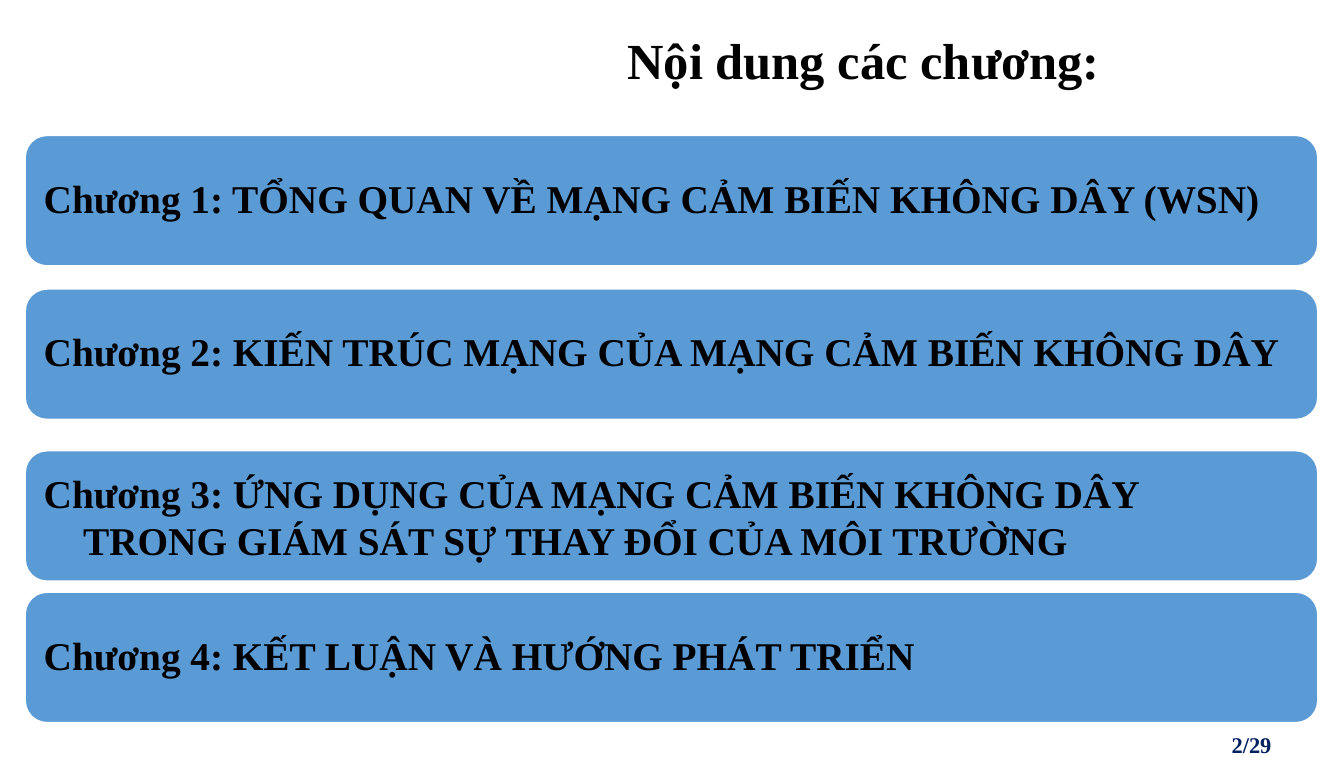
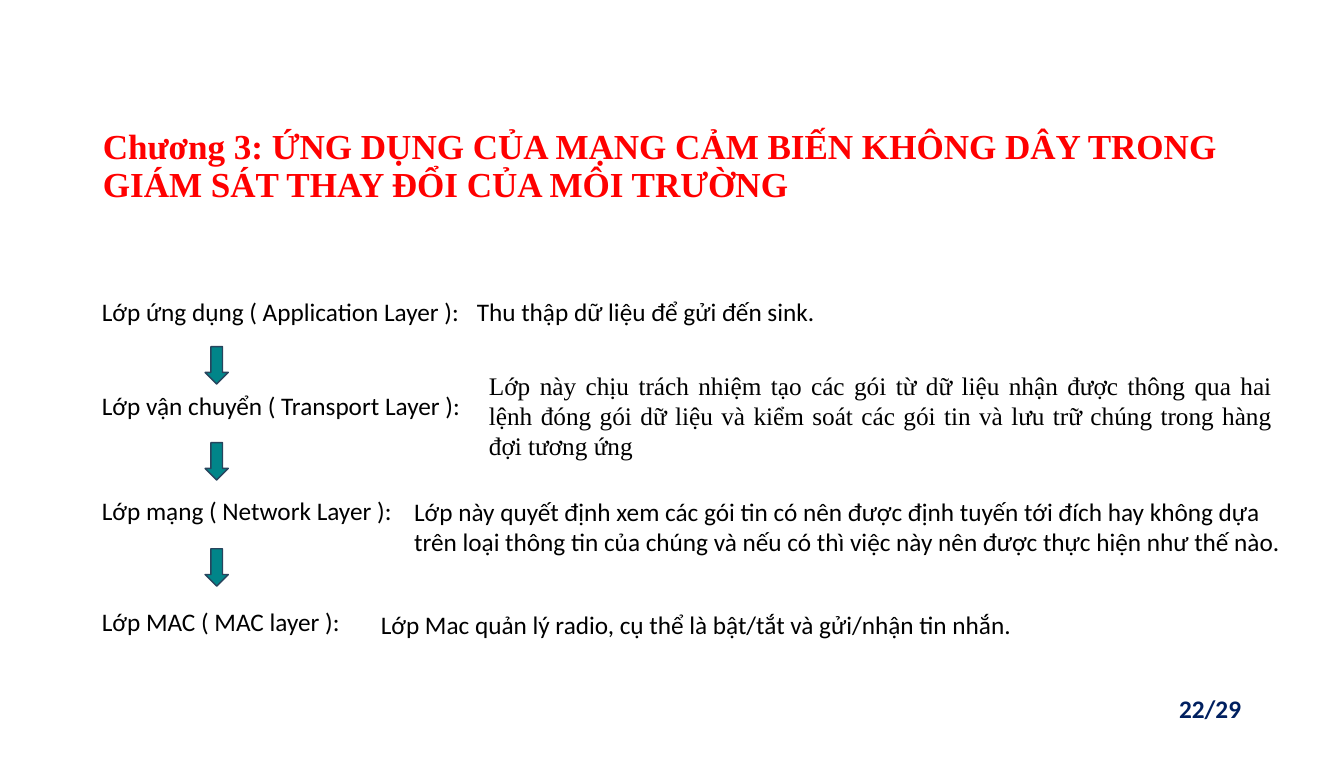
"""Build the chapter overview and the network layer slides."""
import pptx
import pptx.util
import pptx.dml.color
import pptx.enum.shapes
import pptx.enum.text

Inches, Pt = pptx.util.Inches, pptx.util.Pt
RGBColor = pptx.dml.color.RGBColor
Shape = pptx.enum.shapes.MSO_SHAPE
Align = pptx.enum.text.PP_ALIGN
Anchor = pptx.enum.text.MSO_ANCHOR

WIDTH, HEIGHT = 13.3, 7.5
BLACK = RGBColor(0x00, 0x00, 0x00)
WHITE = RGBColor(0xFF, 0xFF, 0xFF)
RED = RGBColor(0xFF, 0x00, 0x00)
NAVY = RGBColor(0x00, 0x20, 0x60)
BLUE = RGBColor(0x5B, 0x9B, 0xD5)
TEAL = RGBColor(0x01, 0x85, 0x89)
SLATE = RGBColor(0x28, 0x44, 0x5D)
SERIF, SANS = "Times New Roman", "Calibri"

OVERVIEW_TITLE = "Nội dung các chương:"
CHAPTERS = [
    (1.34, "Chương 1: TỔNG QUAN VỀ MẠNG CẢM BIẾN KHÔNG DÂY (WSN)"),
    (2.86, "Chương 2: KIẾN TRÚC MẠNG CỦA MẠNG CẢM BIẾN KHÔNG DÂY"),
    (4.46, "Chương 3: ỨNG DỤNG CỦA MẠNG CẢM BIẾN KHÔNG DÂY\v"
           "TRONG GIÁM SÁT SỰ THAY ĐỔI CỦA MÔI TRƯỜNG"),
    (5.86, "Chương 4: KẾT LUẬN VÀ HƯỚNG PHÁT TRIỂN"),
]
CHAPTER_LEFT, CHAPTER_WIDTH, CHAPTER_HEIGHT = 0.25, 12.79, 1.29
CHAPTER_HANG = 0.39

LAYERS_TITLE = ("Chương 3: ỨNG DỤNG CỦA MẠNG CẢM BIẾN KHÔNG DÂY TRONG "
                "GIÁM SÁT THAY ĐỔI CỦA MÔI TRƯỜNG")
LAYERS = [
    (2.88, "Lớp ứng dụng ( Application Layer ):",
     (4.62, 2.88, 4.77, 0.4), "Thu thập dữ liệu để gửi đến sink.", {}),
    (3.81, "Lớp vận chuyển ( Transport Layer ):",
     (4.74, 3.61, 7.95, 1.01),
     "Lớp này chịu trách nhiệm tạo các gói từ dữ liệu nhận được thông qua hai "
     "lệnh đóng gói dữ liệu và kiểm soát các gói tin và lưu trữ chúng trong "
     "hàng đợi tương ứng",
     {"font": SERIF, "align": Align.JUSTIFY, "space": 6}),
    (4.85, "Lớp mạng ( Network Layer ):",
     (4, 4.86, 8.95, 0.71),
     "Lớp này quyết định xem các gói tin có nên được định tuyến tới đích hay "
     "không dựa trên loại thông tin của chúng và nếu có thì việc này nên được "
     "thực hiện như thế nào.", {}),
    (5.95, "Lớp MAC ( MAC layer ):",
     (3.67, 5.98, 6.65, 0.4),
     "Lớp Mac quản lý radio, cụ thể là bật/tắt và gửi/nhận tin nhắn.", {}),
]
LABEL_LEFT, LABEL_WIDTH, LABEL_HEIGHT = 0.91, 3.8, 0.4
ARROW_LEFT, ARROW_WIDTH, ARROW_HEIGHT = 2.03, 0.23, 0.37
ARROW_TOPS = [3.43, 4.38, 5.43]


def write(holder, text, size=18, font=SANS, color=BLACK, bold=False,
          align=Align.LEFT, anchor=Anchor.TOP, spacing=1.0, space=0,
          inset=None, hang=0):
    frame = holder.text_frame
    frame.word_wrap = True
    frame.vertical_anchor = anchor
    if inset is not None:
        frame.margin_left = frame.margin_right = Inches(inset)
        frame.margin_top = frame.margin_bottom = Inches(inset)
    paragraph = frame.paragraphs[0]
    paragraph.text = text
    paragraph.alignment = align
    paragraph.line_spacing = spacing
    paragraph.space_before = paragraph.space_after = Pt(space)
    if hang:
        properties = paragraph._p.get_or_add_pPr()
        properties.set("marL", str(Inches(hang)))
        properties.set("indent", str(-Inches(hang)))
    for run in paragraph.runs:
        run.font.size, run.font.name, run.font.bold = Pt(size), font, bold
        run.font.color.rgb = color


def add_text(slide, box, text, **style):
    write(slide.shapes.add_textbox(*map(Inches, box)), text, **style)


def add_block(slide, preset, box, fill, line):
    block = slide.shapes.add_shape(preset, *map(Inches, box))
    block.shadow.inherit = False
    block.fill.solid()
    block.fill.fore_color.rgb = fill
    block.line.color.rgb = line
    block.line.width = Pt(1)
    return block


def add_title(slide, box, text, **style):
    add_text(slide, box, text, font=SERIF, bold=True, anchor=Anchor.MIDDLE,
             spacing=0.9, **style)


def add_page_number(slide, left, top, text, **style):
    add_text(slide, (left, top, 2.99, 0.4), text, color=NAVY, bold=True,
             align=Align.RIGHT, anchor=Anchor.MIDDLE, **style)


def build_overview(slide):
    add_title(slide, (6.11, 0.11, 5.07, 1.02), OVERVIEW_TITLE, size=36)
    for top, chapter in CHAPTERS:
        bar = add_block(slide, Shape.ROUNDED_RECTANGLE,
                        (CHAPTER_LEFT, top, CHAPTER_WIDTH, CHAPTER_HEIGHT),
                        BLUE, WHITE)
        two_lines = "\v" in chapter
        write(bar, chapter, size=28, font=SERIF, bold=True,
              anchor=Anchor.MIDDLE, inset=0.12,
              spacing=1.0 if two_lines else 0.9,
              hang=CHAPTER_HANG if two_lines else 0)
    add_page_number(slide, 9.69, 7.17, "2/29", size=16, font=SERIF)


def build_layers(slide):
    add_title(slide, (0.92, 0.93, 11.47, 1.45), LAYERS_TITLE, size=25, color=RED)
    for top, layer, box, role, style in LAYERS:
        add_text(slide, (LABEL_LEFT, top, LABEL_WIDTH, LABEL_HEIGHT), layer)
        add_text(slide, box, role, **style)
    for top in ARROW_TOPS:
        add_block(slide, Shape.DOWN_ARROW,
                  (ARROW_LEFT, top, ARROW_WIDTH, ARROW_HEIGHT), TEAL, SLATE)
    add_page_number(slide, 9.39, 6.81, "22/29")


def main():
    deck = pptx.Presentation()
    deck.slide_width, deck.slide_height = Inches(WIDTH), Inches(HEIGHT)
    for build in (build_overview, build_layers):
        build(deck.slides.add_slide(deck.slide_layouts[6]))
    deck.save("out.pptx")


if __name__ == "__main__":
    main()
